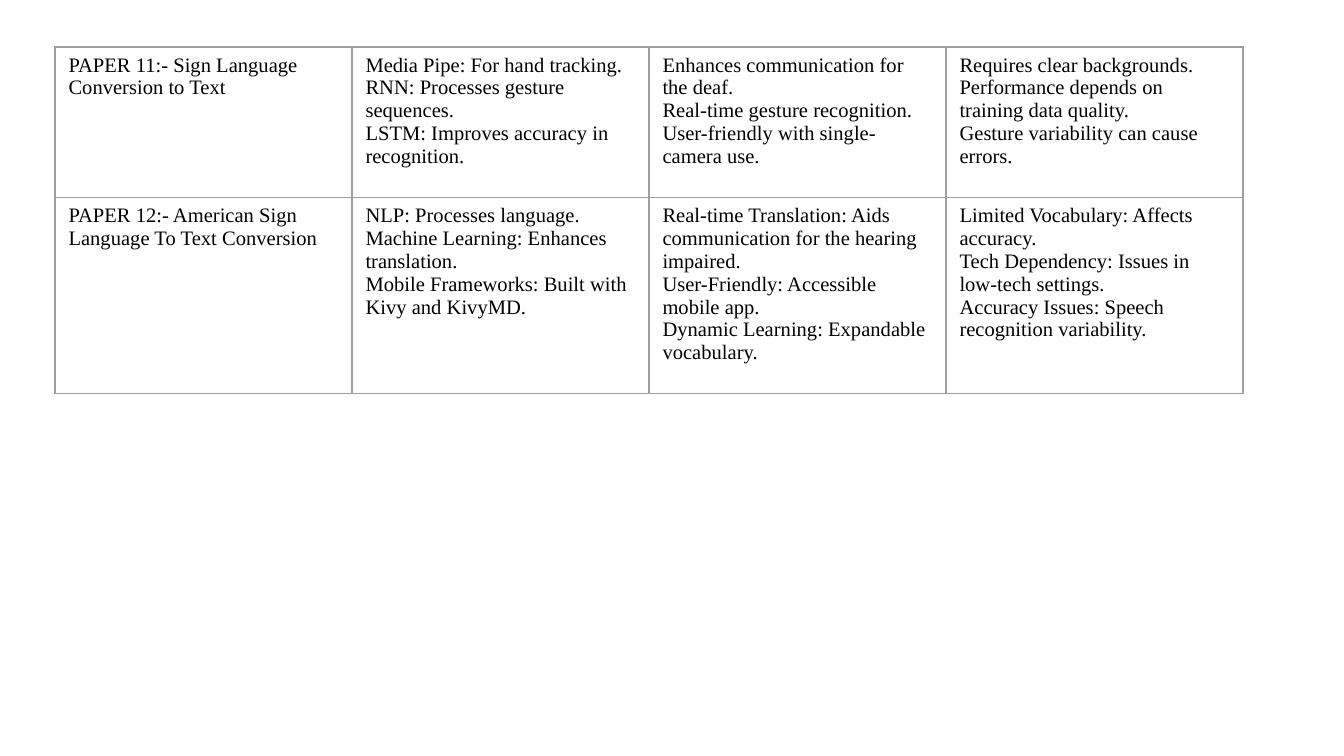
"""Build a slide with a literature survey table of two sign language papers."""
import lxml.etree
import pptx
import pptx.dml.color
import pptx.oxml.ns
import pptx.util

BLACK = pptx.dml.color.RGBColor(0x00, 0x00, 0x00)
GREY = pptx.dml.color.RGBColor(0x9E, 0x9E, 0x9E)
BORDER_WIDTH = pptx.util.Pt(0.75)
FONT_FORMAT = {"name": "Times New Roman", "size": pptx.util.Pt(11)}
CELL_FORMAT = {
    "margin_left": pptx.util.Inches(0.1),
    "margin_right": pptx.util.Inches(0.1),
    "margin_top": pptx.util.Inches(0.05),
    "margin_bottom": pptx.util.Inches(0.05),
}
TABLE_FORMAT = {"first_row": False, "horz_banding": False}
ROW_HEIGHTS = [1.12, 1.46]

PAPERS = [
    [
        ["PAPER 11:- Sign Language Conversion to Text"],
        [
            "Media Pipe: For hand tracking.",
            "RNN: Processes gesture sequences.",
            "LSTM: Improves accuracy in recognition.",
        ],
        [
            "Enhances communication for the deaf.",
            "Real-time gesture recognition.",
            "User-friendly with single-camera use.",
        ],
        [
            "Requires clear backgrounds.",
            "Performance depends on training data quality.",
            "Gesture variability can cause errors.",
        ],
    ],
    [
        ["PAPER 12:- American Sign Language To Text Conversion"],
        [
            "NLP: Processes language.",
            "Machine Learning: Enhances translation.",
            "Mobile Frameworks: Built with Kivy and KivyMD.",
        ],
        [
            "Real-time Translation: Aids communication for the hearing impaired.",
            "User-Friendly: Accessible mobile app.",
            "Dynamic Learning: Expandable vocabulary.",
        ],
        [
            "Limited Vocabulary: Affects accuracy.",
            "Tech Dependency: Issues in low-tech settings.",
            "Accuracy Issues: Speech recognition variability.",
        ],
    ],
]


def set_format(target, values):
    for name, value in values.items():
        setattr(target, name, value)


def add_borders(cell):
    properties = cell._tc.get_or_add_tcPr()
    for position, side in enumerate(["lnL", "lnR", "lnT", "lnB"]):
        line = lxml.etree.Element(pptx.oxml.ns.qn(f"a:{side}"), w=str(BORDER_WIDTH))
        fill = lxml.etree.SubElement(line, pptx.oxml.ns.qn("a:solidFill"))
        lxml.etree.SubElement(fill, pptx.oxml.ns.qn("a:srgbClr"), val=str(GREY))
        properties.insert(position, line)


presentation = pptx.Presentation()
presentation.slide_width = pptx.util.Inches(10)
presentation.slide_height = presentation.slide_width * 9 // 16
slide = presentation.slides.add_slide(presentation.slide_layouts[6])

column_width = pptx.util.Inches(2.21)
table = slide.shapes.add_table(
    len(PAPERS),
    len(PAPERS[0]),
    int(presentation.slide_width * 0.041),
    pptx.util.Inches(0.35),
    column_width * len(PAPERS[0]),
    pptx.util.Inches(sum(ROW_HEIGHTS)),
).table
set_format(table, TABLE_FORMAT)
for column in table.columns:
    column.width = column_width

for row, height, paper in zip(table.rows, ROW_HEIGHTS, PAPERS):
    row.height = pptx.util.Inches(height)
    for cell, lines in zip(row.cells, paper):
        set_format(cell, CELL_FORMAT)
        cell.fill.background()
        add_borders(cell)
        cell.text = "\n".join(lines)
        for paragraph in cell.text_frame.paragraphs:
            font = paragraph.runs[0].font
            set_format(font, FONT_FORMAT)
            font.color.rgb = BLACK

presentation.save("out.pptx")
